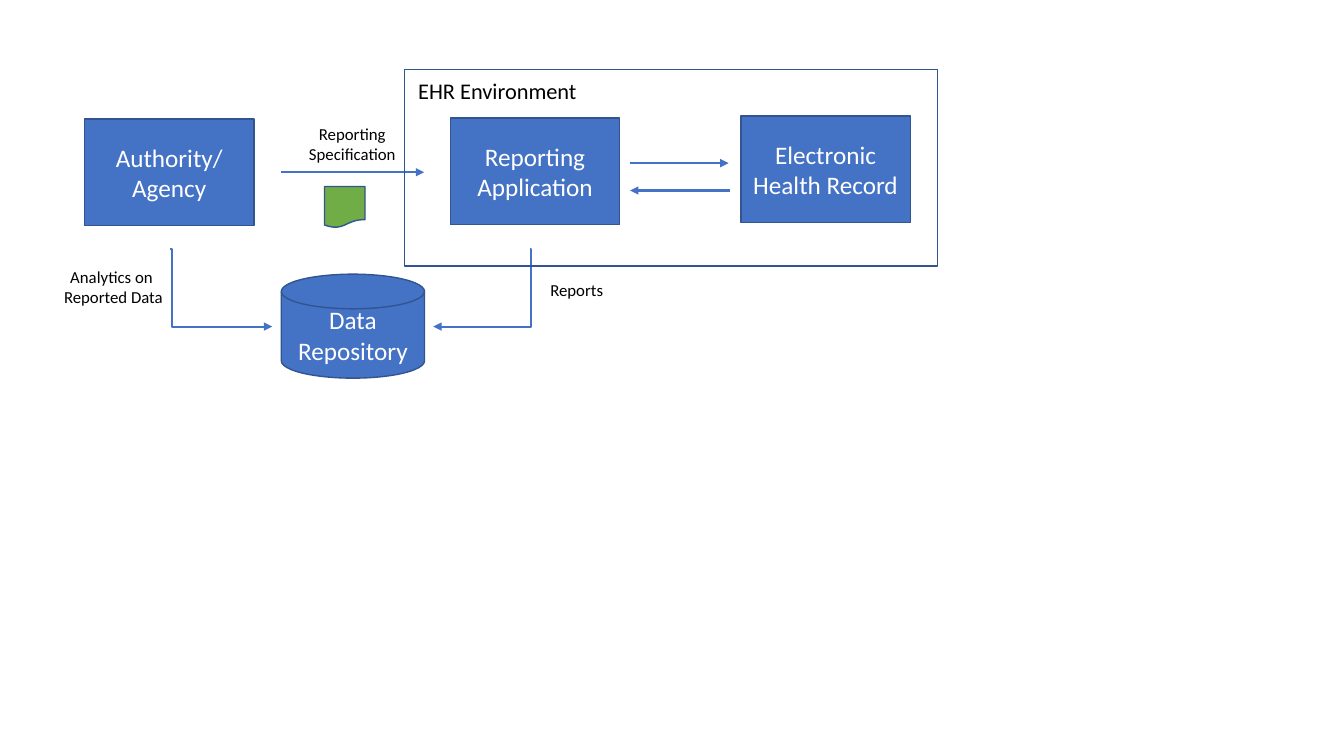
from lxml import etree
from pptx import Presentation
from pptx.dml.color import RGBColor
from pptx.enum.shapes import MSO_CONNECTOR as LinkKind, MSO_SHAPE as Shape
from pptx.enum.text import MSO_ANCHOR as Anchor, MSO_AUTO_SIZE as AutoSize, PP_ALIGN as Align
from pptx.oxml.ns import qn
from pptx.util import Cm, Pt

COLOURS = {
    "blue": "4472C4",
    "outline": "325491",
    "green": "70AD47",
    "white": "FFFFFF",
    "black": "000000",
}
BOX_SIZE = (4.27, 2.69)
LINK_TOP, LINK_BOTTOM = 6.27, 8.23


def colour(name):
    return RGBColor.from_string(COLOURS[name])


def write_lines(frame, lines, size, ink, align):
    """Fill a text frame with one paragraph per line."""
    font_format = {"name": "Calibri", "size": Pt(size)}
    for number, line in enumerate(lines):
        para = frame.add_paragraph() if number else frame.paragraphs[0]
        para.alignment = align
        span = para.add_run()
        span.text = line
        for attribute, value in font_format.items():
            setattr(span.font, attribute, value)
        span.font.color.rgb = colour(ink)


def add_box(page, kind, place, fill=None, lines=()):
    box = page.shapes.add_shape(kind, *map(Cm, place))
    box.shadow.inherit = False
    if fill:
        box.fill.solid()
        box.fill.fore_color.rgb = colour(fill)
    else:
        box.fill.background()
    box.line.color.rgb = colour("outline")
    box.line.width = Pt(1)
    box.text_frame.vertical_anchor = Anchor.MIDDLE
    box.text_frame.word_wrap = True
    write_lines(box.text_frame, lines, 18, "white", Align.CENTER)


def add_label(page, place, lines, size=12, align=Align.CENTER):
    label = page.shapes.add_textbox(*map(Cm, place))
    frame_format = {"word_wrap": False, "auto_size": AutoSize.SHAPE_TO_FIT_TEXT}
    for attribute, value in frame_format.items():
        setattr(label.text_frame, attribute, value)
    write_lines(label.text_frame, lines, size, "black", align)


def add_arrow(page, start, end, bend=None):
    """Draw an arrow; bend is the elbow's place in 1/1000 of a percent."""
    kind = LinkKind.STRAIGHT if bend is None else LinkKind.ELBOW
    arrow = page.shapes.add_connector(kind, *map(Cm, start + end))
    arrow.line.color.rgb = colour("blue")
    arrow.line.width = Pt(1.5)
    properties = arrow._element.spPr
    if bend is not None:
        guides = properties.find(qn("a:prstGeom")).get_or_add_avLst()
        etree.SubElement(guides, qn("a:gd"), name="adj1", fmla=f"val {bend}")
    etree.SubElement(properties.find(qn("a:ln")), qn("a:tailEnd"), type="triangle")
    etree.SubElement(properties, qn("a:effectLst"))


def main():
    deck = Presentation()
    deck.slide_width, deck.slide_height = Cm(33.87), Cm(19.05)
    page = deck.slides.add_slide(deck.slide_layouts[6])

    for left, top, lines in (
        (2.13, 3, ["Authority/", "Agency"]),
        (18.67, 2.92, ["Electronic Health Record"]),
        (11.35, 2.97, ["Reporting Application"]),
    ):
        add_box(page, Shape.RECTANGLE, (left, top, *BOX_SIZE), "blue", lines)
    add_box(page, Shape.FLOWCHART_MAGNETIC_DISK, (7.09, 6.91, 3.61, 2.62),
            "blue", ["Data Repository"])

    add_arrow(page, (7.09, 4.34), (10.69, 4.34))
    add_arrow(page, (15.88, 4.11), (18.36, 4.11))
    add_arrow(page, (18.39, 4.8), (15.88, 4.8))
    add_arrow(page, (4.29, LINK_TOP), (6.86, LINK_BOTTOM), 1400)
    add_arrow(page, (13.36, LINK_TOP), (10.92, LINK_BOTTOM), -1100)

    add_label(page, (7.52, 3, 2.72, 1.27), ["Reporting", "Specification"])
    add_label(page, (13.61, 6.93, 1.85, 0.76), ["Reports"])
    add_label(page, (1.35, 6.6, 3.02, 1.27), ["Analytics on ", "Reported Data"])

    add_box(page, Shape.RECTANGLE, (10.19, 1.75, 13.44, 4.95))
    add_label(page, (10.29, 1.83, 4.57, 0.94), ["EHR Environment"], 16, Align.LEFT)
    add_box(page, Shape.FLOWCHART_DOCUMENT, (8.18, 4.7, 1.02, 1.04), "green")

    deck.save("out.pptx")


if __name__ == "__main__":
    main()
